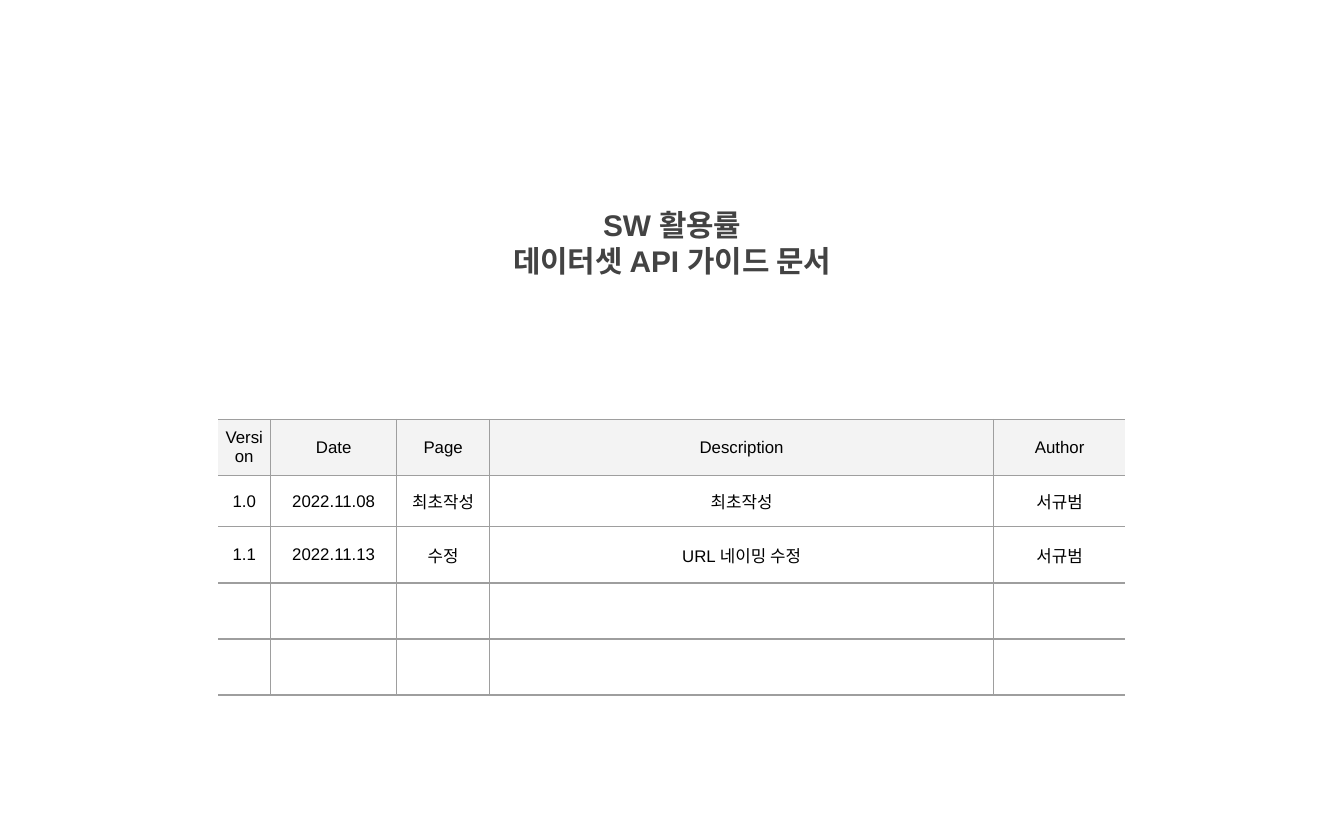
from typing import NamedTuple

from lxml import etree
from pptx import Presentation
from pptx.dml.color import RGBColor
from pptx.enum.shapes import MSO_SHAPE
from pptx.enum.text import MSO_ANCHOR, PP_ALIGN
from pptx.oxml.ns import qn
from pptx.util import Cm, Pt

RECTANGLE = MSO_SHAPE.RECTANGLE
MIDDLE = MSO_ANCHOR.MIDDLE
CENTER = PP_ALIGN.CENTER

FONT = "Arial"
WHITE, BLACK, DARK_GRAY = "FFFFFF", "000000", "434343"
HEADER_GRAY, RULE_GRAY = "F3F3F3", "9E9E9E"
RULE_WIDTH = Pt(0.75)
CELL_MARGIN = Cm(0.1)


class Revision(NamedTuple):
    version: str = ""
    date: str = ""
    page: str = ""
    description: str = ""
    author: str = ""


TITLE = ["SW 활용률", "데이터셋 API 가이드 문서"]
HISTORY = [
    Revision("Version", "Date", "Page", "Description", "Author"),
    Revision("1.0", "2022.11.08", "최초작성", "최초작성", "서규범"),
    Revision("1.1", "2022.11.13", "수정", "URL 네이밍 수정", "서규범"),
    Revision(),
    Revision(),
]
COLUMN_WIDTHS = [0.99, 2.39, 1.75, 9.53, 2.49]
ROW_HEIGHTS = [1.06, 0.97, 1.06, 1.06, 1.06]


def rgb(color: str) -> RGBColor:
    return RGBColor.from_string(color)


def style_paragraph(paragraph, size: float, color: str, bold: bool = False) -> None:
    paragraph.alignment = CENTER
    font = paragraph.font
    font.name, font.size, font.bold = FONT, Pt(size), bold
    font.color.rgb = rgb(color)


def set_borders(cell, outer_left: bool, outer_right: bool) -> None:
    """Rule every side of the cell except the open sides of the table."""
    properties = cell._tc.get_or_add_tcPr()
    visible = {"lnL": not outer_left, "lnR": not outer_right, "lnT": True, "lnB": True}
    for position, (side, shown) in enumerate(visible.items()):
        line = etree.Element(qn(f"a:{side}"), w=str(RULE_WIDTH))
        if shown:
            fill = etree.SubElement(line, qn("a:solidFill"))
            etree.SubElement(fill, qn("a:srgbClr"), val=RULE_GRAY)
        else:
            etree.SubElement(line, qn("a:noFill"))
        properties.insert(position, line)


def add_title(slide, lines: list[str]) -> None:
    title = slide.shapes.add_shape(RECTANGLE, Cm(8.92), Cm(3.35), Cm(7.57), Cm(1.8))
    title.shadow.inherit = False
    title.fill.solid()
    title.fill.fore_color.rgb = rgb(WHITE)
    title.line.fill.background()
    frame = title.text_frame
    frame.word_wrap = True
    frame.vertical_anchor = MIDDLE
    frame.margin_top = Cm(0.81)
    frame.text = "\n".join(lines)
    for paragraph in frame.paragraphs:
        style_paragraph(paragraph, 16, DARK_GRAY, bold=True)


def add_history(slide, revisions: list[Revision]) -> None:
    table = slide.shapes.add_table(
        len(revisions), len(COLUMN_WIDTHS), Cm(4.12), Cm(7.93),
        Cm(sum(COLUMN_WIDTHS)), Cm(sum(ROW_HEIGHTS)),
    ).table
    table.first_row = table.horz_banding = False
    for column, width in zip(table.columns, COLUMN_WIDTHS):
        column.width = Cm(width)
    last = len(COLUMN_WIDTHS) - 1
    for row_index, (revision, height) in enumerate(zip(revisions, ROW_HEIGHTS)):
        table.rows[row_index].height = Cm(height)
        for column_index, entry in enumerate(revision):
            cell = table.cell(row_index, column_index)
            cell.text = entry
            cell.vertical_anchor = MIDDLE
            cell.margin_left = cell.margin_right = CELL_MARGIN
            cell.margin_top = cell.margin_bottom = CELL_MARGIN
            style_paragraph(cell.text_frame.paragraphs[0], 9, BLACK)
            if row_index == 0:
                cell.fill.solid()
                cell.fill.fore_color.rgb = rgb(HEADER_GRAY)
            else:
                cell.fill.background()
            set_borders(cell, column_index == 0, column_index == last)


def main() -> None:
    presentation = Presentation()
    presentation.slide_width, presentation.slide_height = Cm(25.4), Cm(15.88)
    slide = presentation.slides.add_slide(presentation.slide_layouts[6])
    add_title(slide, TITLE)
    add_history(slide, HISTORY)
    presentation.save("out.pptx")


if __name__ == "__main__":
    main()
